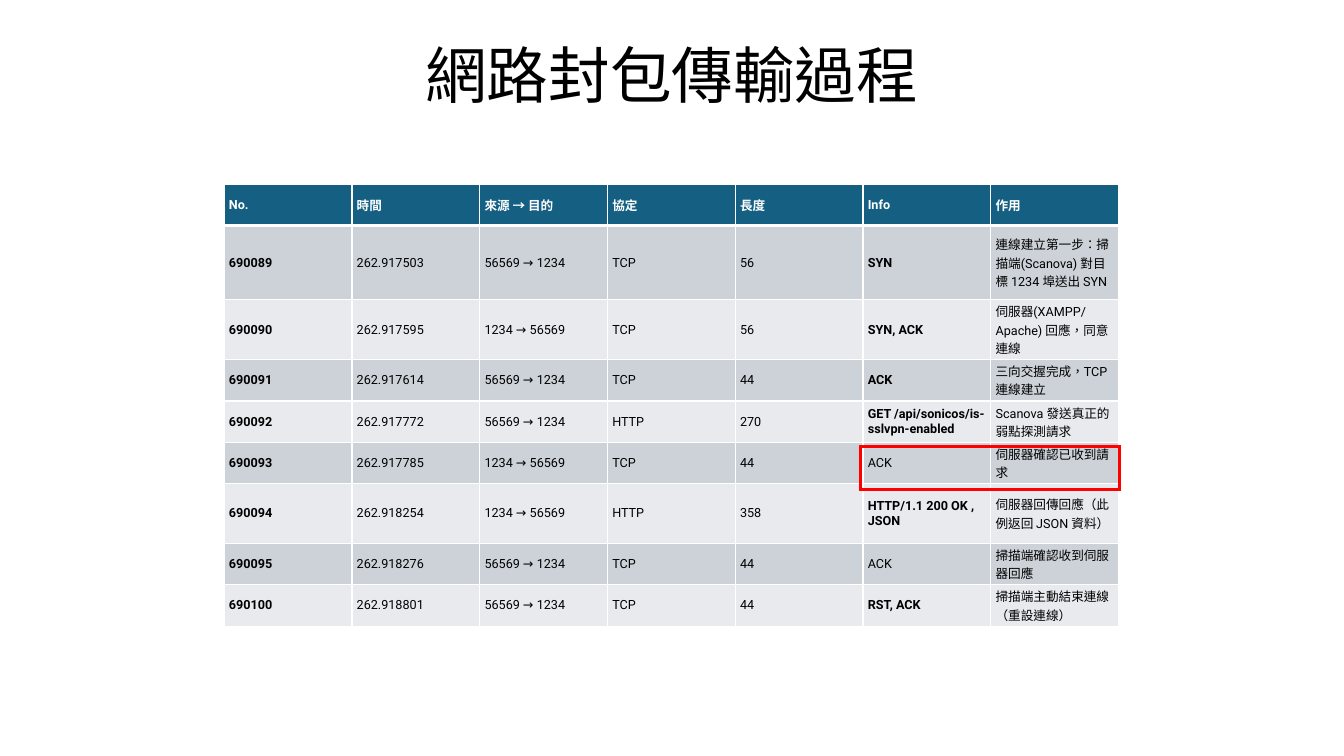
from dataclasses import dataclass

from pptx import Presentation
from pptx import util as u
from pptx.dml import color
from pptx.enum import lang, shapes, text
from pptx.oxml import parse_xml
from pptx.oxml import ns


@dataclass(frozen=True)
class Theme:
    font: str = "Roboto"
    title_size: float = 44
    cell_size: float = 9
    ink: str = "000000"
    white: str = "FFFFFF"
    header: str = "156082"
    bands: tuple = ("CCD2D8", "E8EAED")
    highlight: str = "FF0000"


THEME = Theme()

HEADINGS = ("No.", "時間", "來源 → 目的", "協定", "長度", "Info", "作用")
TO_SERVER = "56569 → 1234"
TO_SCANNER = "1234 → 56569"
PACKETS = (
    ("690089", "262.917503", TO_SERVER, "TCP", "56", "SYN",
     "連線建立第一步：掃描端(Scanova) 對目標 1234 埠送出 SYN"),
    ("690090", "262.917595", TO_SCANNER, "TCP", "56", "SYN, ACK",
     "伺服器(XAMPP/Apache) 回應，同意連線"),
    ("690091", "262.917614", TO_SERVER, "TCP", "44", "ACK",
     "三向交握完成，TCP 連線建立"),
    ("690092", "262.917772", TO_SERVER, "HTTP", "270",
     "GET /api/sonicos/is-sslvpn-enabled", "Scanova 發送真正的弱點探測請求"),
    ("690093", "262.917785", TO_SCANNER, "TCP", "44", "ACK",
     "伺服器確認已收到請求"),
    ("690094", "262.918254", TO_SCANNER, "HTTP", "358",
     "HTTP/1.1 200 OK , JSON", "伺服器回傳回應（此例返回 JSON 資料）"),
    ("690095", "262.918276", TO_SERVER, "TCP", "44", "ACK",
     "掃描端確認收到伺服器回應"),
    ("690100", "262.918801", TO_SERVER, "TCP", "44", "RST, ACK",
     "掃描端主動結束連線（重設連線）"),
)
PLAIN_INFO = {"690093", "690095"}
NUMBER_COLUMN, INFO_COLUMN = 0, 5


def rgb(value):
    return color.RGBColor.from_string(value)


def write(frame, words, *, size, ink=THEME.ink, bold=False, align=None, spacing=None):
    frame.word_wrap = True
    para = frame.paragraphs[0]
    para.alignment = align
    para.line_spacing = spacing
    span = para.add_run()
    span.text = words
    span.font.name = THEME.font
    span.font.size = u.Pt(size)
    span.font.bold = bold
    span.font.color.rgb = rgb(ink)
    span.font.language_id = lang.MSO_LANGUAGE_ID.TRADITIONAL_CHINESE


def set_borders(cell, **widths):
    properties = cell._tc.get_or_add_tcPr()
    for side in ("L", "R", "T", "B"):
        width = u.Pt(widths.get(side, 1))
        properties.append(parse_xml(
            f'<a:ln{side} {ns.nsdecls("a")} w="{width}"><a:solidFill>'
            f'<a:srgbClr val="{THEME.white}"/></a:solidFill></a:ln{side}>'))


def fill_cell(cell, words, fill, borders, **style):
    cell.margin_left = cell.margin_right = u.Cm(0.12)
    cell.margin_top = cell.margin_bottom = u.Cm(0.06)
    cell.vertical_anchor = text.MSO_ANCHOR.MIDDLE
    set_borders(cell, **borders)
    cell.fill.solid()
    cell.fill.fore_color.rgb = rgb(fill)
    write(cell.text_frame, words, size=THEME.cell_size, **style)


def is_bold(packet, column):
    return column == NUMBER_COLUMN or (
        column == INFO_COLUMN and packet[NUMBER_COLUMN] not in PLAIN_INFO)


def add_packet_table(page):
    row_height, column_width = u.Cm(1.04), u.Cm(3.22)
    row_count, column_count = len(PACKETS) + 1, len(HEADINGS)
    table = page.shapes.add_table(
        row_count, column_count, u.Cm(5.65), u.Cm(4.64),
        column_width * column_count, row_height * row_count).table
    table.horz_banding = False
    for column, heading in enumerate(HEADINGS):
        fill_cell(table.cell(0, column), heading, THEME.header, {"B": 3},
                  ink=THEME.white, bold=True)
    for row, packet in enumerate(PACKETS, start=1):
        band = THEME.bands[(row - 1) % 2]
        borders = {"T": 3} if row == 1 else {}
        for column, words in enumerate(packet):
            fill_cell(table.cell(row, column), words, band, borders,
                      bold=is_bold(packet, column))


def add_highlight(page, left, top, width, height):
    box = page.shapes.add_shape(
        shapes.MSO_SHAPE.RECTANGLE, left, top, width, height)
    box.shadow.inherit = False
    box.fill.background()
    box.line.color.rgb = rgb(THEME.highlight)
    box.line.width = u.Pt(2.25)
    box.line._get_or_add_ln().append(
        parse_xml(f'<a:miter {ns.nsdecls("a")} lim="800000"/>'))


def add_title(page, words):
    box = page.shapes.add_textbox(u.Cm(2.33), u.Cm(1.01), u.Cm(29.21), u.Cm(3.68))
    write(box.text_frame, words, size=THEME.title_size,
          align=text.PP_ALIGN.CENTER, spacing=0.9)


def main():
    deck = Presentation()
    deck.slide_width, deck.slide_height = u.Cm(33.87), u.Cm(19.05)
    page = deck.slides.add_slide(deck.slide_layouts[6])
    add_packet_table(page)
    add_highlight(page, u.Cm(21.69), u.Cm(11.25), u.Cm(6.53), u.Cm(1.09))
    add_title(page, "網路封包傳輸過程")
    deck.save("out.pptx")


if __name__ == "__main__":
    main()
